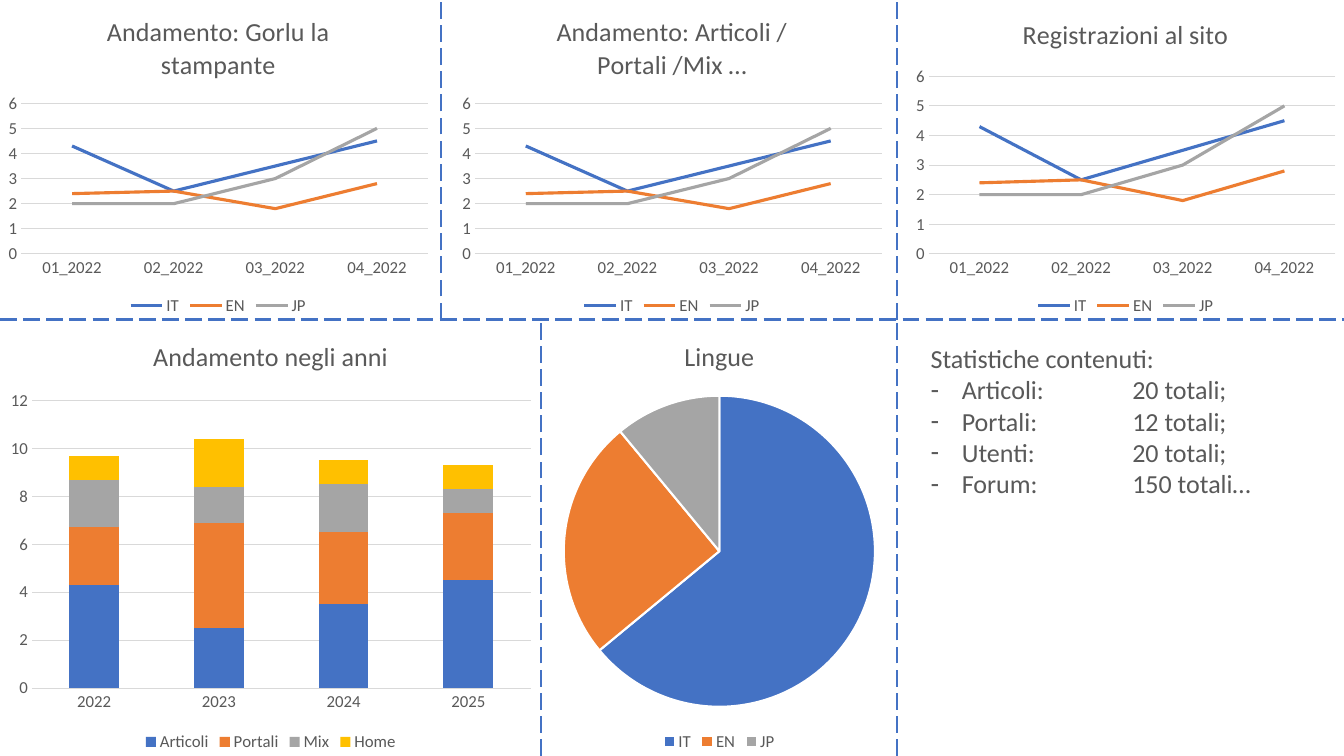
import pptx
import pptx.chart.data
import pptx.dml.color
import pptx.enum.chart
import pptx.enum.dml
import pptx.enum.shapes
import pptx.enum.text
import pptx.oxml
import pptx.util

Inches = pptx.util.Inches
Pt = pptx.util.Pt
RGBColor = pptx.dml.color.RGBColor
ChartType = pptx.enum.chart.XL_CHART_TYPE

BLUE = RGBColor(0x44, 0x72, 0xC4)
ORANGE = RGBColor(0xED, 0x7D, 0x31)
GRAY = RGBColor(0xA5, 0xA5, 0xA5)
YELLOW = RGBColor(0xFF, 0xC0, 0x00)
TEXT = RGBColor(0x59, 0x59, 0x59)
GRID = RGBColor(0xD9, 0xD9, 0xD9)
WHITE = RGBColor(0xFF, 0xFF, 0xFF)
PALETTE = [BLUE, ORANGE, GRAY, YELLOW]

WIDTH, HEIGHT, MIDDLE = 13.33, 7.5, 3.17
PIE_LEFT, LIST_LEFT = 5.37, 8.9


def format_font(font, size):
    for name, value in {"name": "Calibri", "size": Pt(size), "bold": False}.items():
        setattr(font, name, value)
    font.color.rgb = TEXT


def add_titled_chart(chart_type, box, title, categories, series):
    data = pptx.chart.data.CategoryChartData()
    data.categories = categories
    for name, values in series.items():
        data.add_series(name, values)
    chart = slide.shapes.add_chart(chart_type, *map(Inches, box), data).chart
    format_font(chart.font, 12)
    chart.has_title = True
    chart.chart_title.text_frame.text = title
    for paragraph in chart.chart_title.text_frame.paragraphs:
        format_font(paragraph.font, 18.6)
        for run in paragraph.runs:
            format_font(run.font, 18.6)
    chart.has_legend = True
    chart.legend.position = pptx.enum.chart.XL_LEGEND_POSITION.BOTTOM
    chart.legend.include_in_layout = False
    format_font(chart.legend.font, 12)
    chart.plots[0].vary_by_categories = chart_type == ChartType.PIE
    if chart_type == ChartType.PIE:
        return chart
    for axis in (chart.category_axis, chart.value_axis):
        axis.major_tick_mark = pptx.enum.chart.XL_TICK_MARK.NONE
        format_font(axis.tick_labels.font, 12)
    chart.value_axis.format.line.fill.background()
    for line in (chart.category_axis.format.line, chart.value_axis.major_gridlines.format.line):
        line.color.rgb = GRID
        line.width = Pt(0.75)
    return chart


presentation = pptx.Presentation()
presentation.slide_width = Inches(WIDTH)
presentation.slide_height = Inches(HEIGHT)
slide = presentation.slides.add_slide(presentation.slide_layouts[1])
title_element = slide.shapes.title.element
title_element.getparent().remove(title_element)

months = [f"{month:02}_2022" for month in range(1, 5)]
trends = {"IT": (4.3, 2.5, 3.5, 4.5), "EN": (2.4, 2.5, 1.8, 2.8), "JP": (2, 2, 3, 5)}
trend_titles = [
    "Andamento: Gorlu la\nstampante",
    "Andamento: Articoli /\nPortali /Mix …",
    "Registrazioni al sito",
]
for index, title in enumerate(trend_titles):
    chart = add_titled_chart(ChartType.LINE, (4.5 * index, 0, 4.33, MIDDLE), title, months, trends)
    chart.value_axis.maximum_scale = 6
    chart.value_axis.major_unit = 1
    for series, color in zip(chart.plots[0].series, PALETTE):
        series.smooth = False
        series.format.line.color.rgb = color
        series.format.line.width = Pt(2.25)

contents = {
    "Articoli": (4.3, 2.5, 3.5, 4.5),
    "Portali": (2.4, 4.4, 3, 2.8),
    "Mix": (2, 1.5, 2, 1),
    "Home": (1, 2, 1, 1),
}
chart = add_titled_chart(
    ChartType.COLUMN_STACKED, (0, MIDDLE, PIE_LEFT, HEIGHT - MIDDLE),
    "Andamento negli anni", ["2022", "2023", "2024", "2025"], contents,
)
chart.value_axis.maximum_scale = 12
chart.value_axis.major_unit = 2
chart.plots[0].gap_width = 150
chart.plots[0].overlap = 100
for series, color in zip(chart.plots[0].series, PALETTE):
    series.format.fill.solid()
    series.format.fill.fore_color.rgb = color

chart = add_titled_chart(
    ChartType.PIE, (PIE_LEFT, MIDDLE, LIST_LEFT - PIE_LEFT, HEIGHT - MIDDLE),
    "Lingue", ["IT", "EN", "JP"], {"Lingue": (64, 25, 11)},
)
for index, color in enumerate(PALETTE[:3]):
    slice_format = chart.plots[0].series[0].points[index].format
    slice_format.fill.solid()
    slice_format.fill.fore_color.rgb = color
    slice_format.line.color.rgb = WHITE
    slice_format.line.width = Pt(1.5)

dividers = [
    (0, MIDDLE, WIDTH, MIDDLE),
    (LIST_LEFT, MIDDLE, LIST_LEFT, 0),
    (4.37, MIDDLE, 4.37, 0),
    (PIE_LEFT, HEIGHT, PIE_LEFT, MIDDLE),
    (LIST_LEFT, HEIGHT, LIST_LEFT, MIDDLE),
]
for ends in dividers:
    divider = slide.shapes.add_connector(
        pptx.enum.shapes.MSO_CONNECTOR.STRAIGHT, *map(Inches, ends)
    )
    divider.line.color.rgb = BLUE
    divider.line.width = Pt(1.5)
    divider.line.dash_style = pptx.enum.dml.MSO_LINE.LONG_DASH
    properties = divider.element.spPr
    properties.append(properties.makeelement(pptx.oxml.ns.qn("a:effectLst"), {}))

statistics = slide.placeholders[1]
bounds = {"left": 9.13, "top": 3.35, "width": 3.96, "height": 1.67}
for name, value in bounds.items():
    setattr(statistics, name, Inches(value))
frame = statistics.text_frame
frame.text = "\n".join([
    "Statistiche contenuti:",
    "Articoli:\t20 totali;",
    "Portali:\t12 totali;",
    "Utenti:\t20 totali;",
    "Forum:\t150 totali…",
])
frame.word_wrap = True
frame.auto_size = pptx.enum.text.MSO_AUTO_SIZE.SHAPE_TO_FIT_TEXT
frame.vertical_anchor = pptx.enum.text.MSO_ANCHOR.TOP
for index, paragraph in enumerate(frame.paragraphs):
    paragraph.space_before = Pt(0)
    paragraph.alignment = pptx.enum.text.PP_ALIGN.LEFT
    for run in paragraph.runs:
        format_font(run.font, 18.6)
    indent = Inches(0.31) if index else 0
    properties = paragraph._p.get_or_add_pPr()
    for name, value in {"marL": indent, "indent": -indent, "defTabSz": Inches(1)}.items():
        properties.set(name, str(value))
    bullet_tag, attributes = ("a:buChar", {"char": "-"}) if index else ("a:buNone", {})
    properties.append(properties.makeelement(pptx.oxml.ns.qn(bullet_tag), attributes))

presentation.save("out.pptx")
